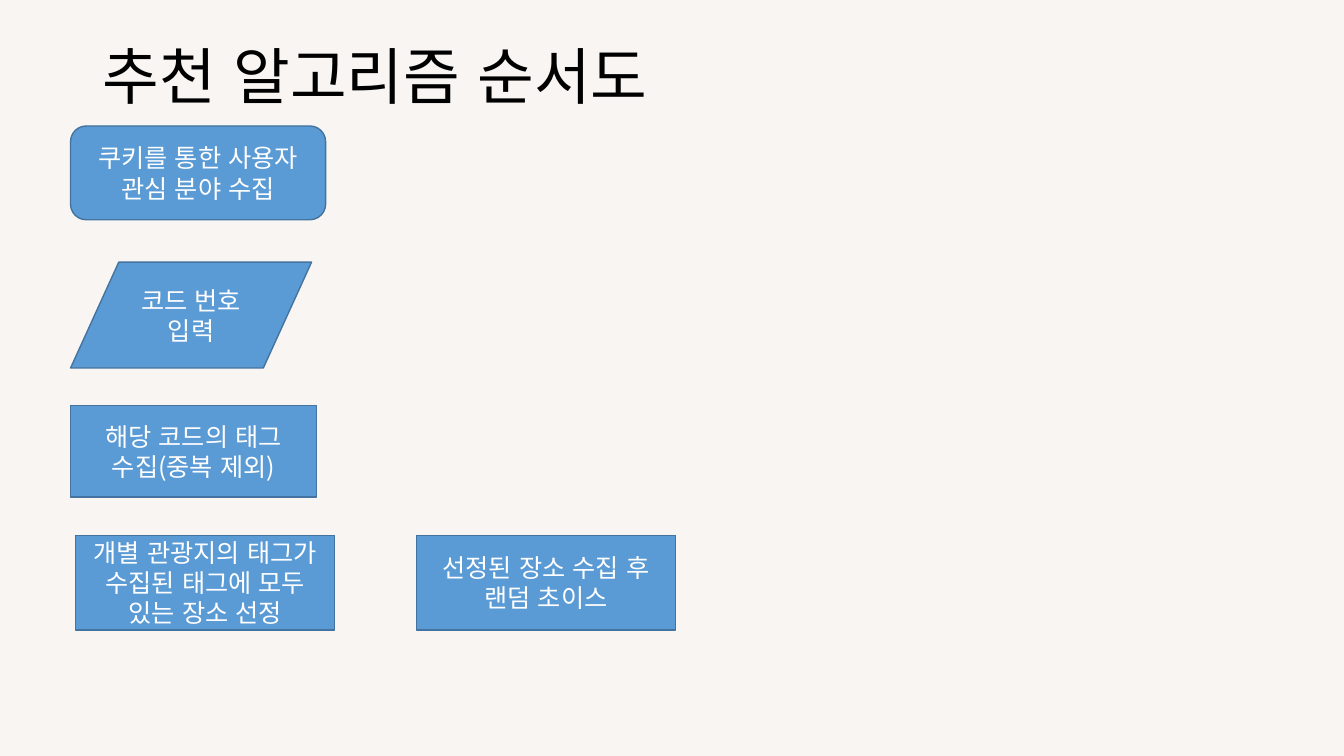
from dataclasses import dataclass

from lxml.etree import SubElement
from pptx import Presentation
from pptx.dml.color import RGBColor
from pptx.enum.lang import MSO_LANGUAGE_ID
from pptx.enum.shapes import MSO_SHAPE
from pptx.enum.text import MSO_ANCHOR, PP_ALIGN
from pptx.oxml.ns import qn
from pptx.slide import Slide
from pptx.text.text import TextFrame
from pptx.util import Inches, Pt

SLIDE_WIDTH, SLIDE_HEIGHT = Inches(13.33), Inches(7.5)
# The grid has 100 columns and 100 rows.
COLUMN, ROW = SLIDE_WIDTH / 100, SLIDE_HEIGHT / 100

FONT = "Noto Sans CJK KR"
BACKGROUND, INK = "F8F5F2", "000000"
STEP_FILL, STEP_LINE, STEP_INK = "5B9BD5", "43739E", "FFFFFF"

LEFT_EDGE = 5.25
LAST_ROW, LAST_WIDTH, LAST_HEIGHT = 70.8, 19.28, 12.53


@dataclass(frozen=True)
class Area:
    column: float
    row: float
    columns: float
    rows: float

    def lengths(self) -> tuple[int, int, int, int]:
        """Left, top, width and height in EMU."""
        return (round(self.column * COLUMN), round(self.row * ROW),
                round(self.columns * COLUMN), round(self.rows * ROW))


@dataclass(frozen=True)
class Step:
    text: str
    outline: MSO_SHAPE
    area: Area


TITLE_AREA = Area(6.9, 5.33, 46.36, 10.27)
STEPS = [
    Step("쿠키를 통한 사용자 관심 분야 수집", MSO_SHAPE.FLOWCHART_ALTERNATE_PROCESS,
         Area(LEFT_EDGE, 16.67, 18.98, 12.4)),
    Step("코드 번호 입력", MSO_SHAPE.FLOWCHART_DATA,
         Area(LEFT_EDGE, 34.67, 17.93, 14)),
    Step("해당 코드의 태그 수집(중복 제외)", MSO_SHAPE.RECTANGLE,
         Area(LEFT_EDGE, 53.6, 18.3, 12.13)),
    Step("개별 관광지의 태그가 수집된 태그에 모두 있는 장소 선정", MSO_SHAPE.RECTANGLE,
         Area(5.63, LAST_ROW, LAST_WIDTH, LAST_HEIGHT)),
    Step("선정된 장소 수집 후\n랜덤 초이스", MSO_SHAPE.RECTANGLE,
         Area(30.98, LAST_ROW, LAST_WIDTH, LAST_HEIGHT)),
]


def color(value: str) -> RGBColor:
    return RGBColor.from_string(value)


def write(frame: TextFrame, text: str, size: float, ink: str,
          alignment: PP_ALIGN) -> None:
    """Fill the frame and set the font for Latin and Korean letters alike."""
    frame.text = text
    frame.word_wrap = True
    frame.vertical_anchor = MSO_ANCHOR.MIDDLE
    for paragraph in frame.paragraphs:
        paragraph.alignment = alignment
        for run in paragraph.runs:
            run.font.size = Pt(size)
            run.font.color.rgb = color(ink)
            run.font.language_id = MSO_LANGUAGE_ID.KOREAN
            run.font.name = FONT
            SubElement(run.font._element, qn("a:ea"), typeface=FONT)


def place_title(slide: Slide, text: str) -> None:
    title = slide.shapes.title
    title.left, title.top, title.width, title.height = TITLE_AREA.lengths()
    write(title.text_frame, text, 44, INK, PP_ALIGN.LEFT)
    title.text_frame.paragraphs[0].line_spacing = 0.9


def draw_step(slide: Slide, step: Step) -> None:
    box = slide.shapes.add_shape(step.outline, *step.area.lengths())
    box.shadow.inherit = False
    box.fill.solid()
    box.fill.fore_color.rgb = color(STEP_FILL)
    box.line.color.rgb = color(STEP_LINE)
    box.line.width = Pt(1)
    write(box.text_frame, step.text, 18, STEP_INK, PP_ALIGN.CENTER)


def main() -> None:
    presentation = Presentation()
    presentation.slide_width = SLIDE_WIDTH
    presentation.slide_height = SLIDE_HEIGHT
    title_only = presentation.slide_layouts.get_by_name("Title Only")
    slide = presentation.slides.add_slide(title_only)
    slide.background.fill.solid()
    slide.background.fill.fore_color.rgb = color(BACKGROUND)

    place_title(slide, "추천 알고리즘 순서도")
    for step in STEPS:
        draw_step(slide, step)
    presentation.save("out.pptx")


if __name__ == "__main__":
    main()
